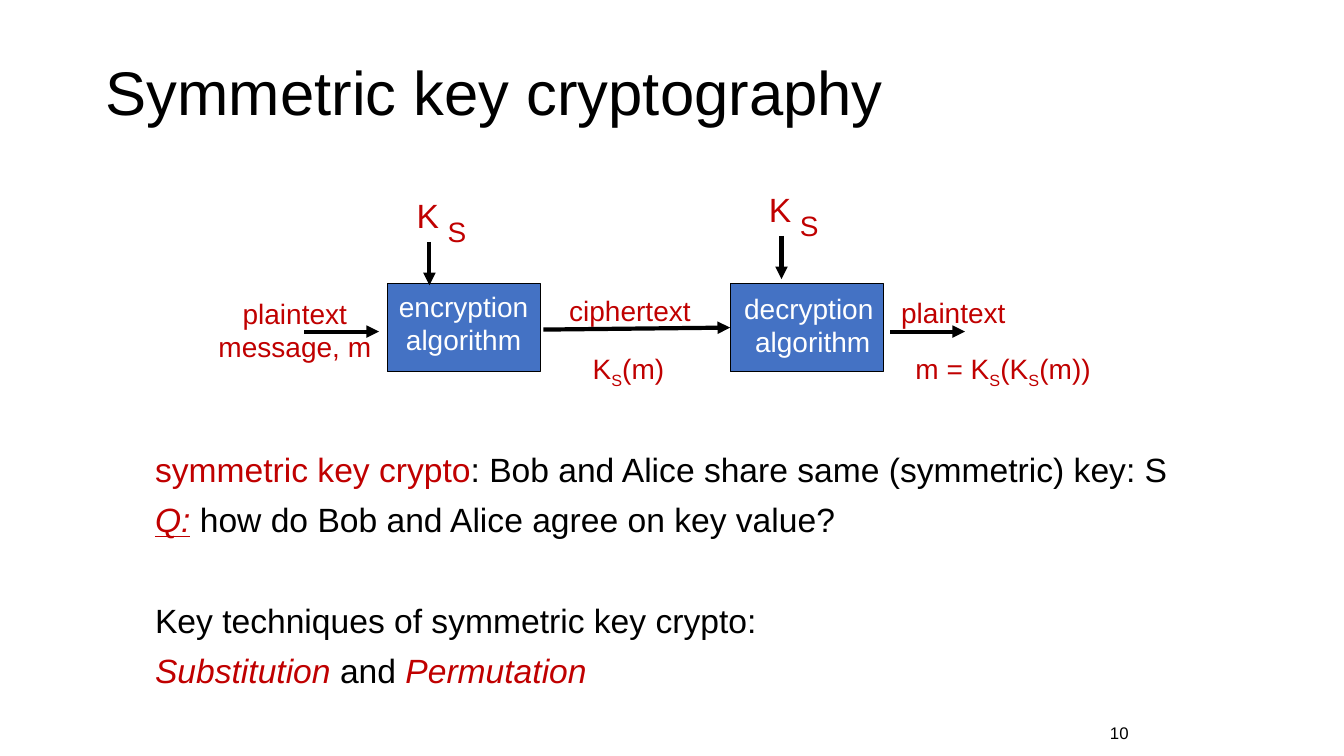
"""Build the slide on symmetric key cryptography."""
import pptx
import pptx.dml.color
import pptx.enum.shapes
import pptx.enum.text
import pptx.oxml.ns
import pptx.util
from lxml import etree

WIDE, HIGH = pptx.util.Inches(13.33), pptx.util.Inches(7.5)
COL, ROW = WIDE / 40, HIGH / 30
RED, BLUE, BLACK, WHITE = "C00000", "4472C4", "000000", "FFFFFF"
MID = pptx.enum.text.PP_ALIGN.CENTER
LEFT = pptx.enum.text.PP_ALIGN.LEFT


def hue(code):
    """Turn a hex string into a colour."""
    return pptx.dml.color.RGBColor.from_string(code)


def paint(obj, code):
    """Give a fill or a line one solid colour."""
    obj.solid()
    obj.fore_color.rgb = hue(code)


def grid(x, y, w, h):
    """Turn columns and rows into lengths."""
    return int(x * COL), int(y * ROW), int(w * COL), int(h * ROW)


def write(para, text, size, code=BLACK, style=""):
    """Add one run; style may hold i, u and s for subscript."""
    run = para.add_run()
    run.text = text
    font = run.font
    font.name, font.size = "Arial", pptx.util.Pt(size)
    font.color.rgb = hue(code)
    if "i" in style:
        font.italic = True
    if "u" in style:
        font.underline = True
    if "s" in style:
        run._r.get_or_add_rPr().set("baseline", "-25000")


def fill(frame, lines, size, code, align):
    """Write lines, each a list of (text, style) pairs, in one colour."""
    for num, line in enumerate(lines):
        para = frame.add_paragraph() if num else frame.paragraphs[0]
        para.alignment = align
        for text, style in line:
            write(para, text, size, code, style)


def label(slide, place, lines, size=20, code=RED, align=MID, back=None):
    """Add an unwrapped label, with a backing colour if one is given."""
    box = slide.shapes.add_textbox(*grid(*place))
    box.text_frame.word_wrap = False
    if back:
        paint(box.fill, back)
    fill(box.text_frame, lines, size, code, align)


def block(slide, place, lines, top, left=0):
    """Add an algorithm block with its caption."""
    kind = pptx.enum.shapes.MSO_SHAPE.RECTANGLE
    box = slide.shapes.add_shape(kind, *grid(*place))
    box.shadow.inherit = False
    paint(box.fill, BLUE)
    paint(box.line.fill, BLACK)
    box.line.width = pptx.util.Pt(0.75)
    frame = box.text_frame
    frame.word_wrap = False
    frame.vertical_anchor = pptx.enum.text.MSO_ANCHOR.TOP
    frame.margin_top = pptx.util.Inches(top)
    frame.margin_left = pptx.util.Inches(left)
    frame.margin_right = 0
    fill(frame, lines, 20, WHITE, MID)
    return box


def arrow(slide, x, y, right, low, goal=None):
    """Draw an arrow, joined to the left side of a goal if given."""
    kind = pptx.enum.shapes.MSO_CONNECTOR.STRAIGHT
    start, end = grid(x, y, 0, 0), grid(right, low, 0, 0)
    link = slide.shapes.add_connector(kind, *start[:2], *end[:2])
    if goal is not None:
        link.end_connect(goal, 1)
    paint(link.line.fill, BLACK)
    link.line.width = pptx.util.Pt(3)
    tag = pptx.oxml.ns.qn
    etree.SubElement(link.line._get_or_add_ln(), tag("a:tailEnd"), type="triangle")
    etree.SubElement(link._element.spPr, tag("a:effectLst"))


def key(slide, x, y):
    """Draw the shared key and the arrow below it."""
    label(slide, (x, y, 1.29, 2.04), [[("K", "")]], 24, back=WHITE)
    label(slide, (x + 0.93, y + 0.8, 1.17, 1.72), [[("S", "")]])
    arrow(slide, x + 0.69, y + 2.08, x + 0.69, y + 3.8)


def head(slide):
    """Place and write the title."""
    title = slide.shapes.title
    title.left, title.top, title.width, title.height = grid(2.85, 1.28, 25.5, 5)
    frame = title.text_frame
    frame.vertical_anchor = pptx.enum.text.MSO_ANCHOR.MIDDLE
    para = frame.paragraphs[0]
    para.alignment, para.line_spacing = LEFT, 0.9
    write(para, "Symmetric key cryptography", 44)


def notes(slide):
    """Write the statements below the diagram."""
    frame = slide.shapes.add_textbox(*grid(4.32, 17.8, 32.17, 10.72)).text_frame
    frame.word_wrap = True
    lines = [
        (0, [("symmetric key crypto", RED, ""),
             (": Bob and Alice share same (symmetric) key: S", BLACK, "")]),
        (10, [("Q:", RED, "iu"), (" ", RED, "i"),
              ("how do Bob and Alice agree on key value?", BLACK, "")]),
        (46, [("Key techniques of symmetric key crypto:", BLACK, "")]),
        (10, [("Substitution ", RED, "i"), ("and ", BLACK, ""),
              ("Permutation", RED, "i")]),
    ]
    for num, (gap, runs) in enumerate(lines):
        para = frame.add_paragraph() if num else frame.paragraphs[0]
        para.line_spacing = 0.9
        para.space_before = pptx.util.Pt(gap)
        for text, code, style in runs:
            write(para, text, 24, code, style)


def main():
    """Build and save the slide."""
    deck = pptx.Presentation()
    deck.slide_width, deck.slide_height = WIDE, HIGH
    slide = deck.slides.add_slide(deck.slide_layouts[5])
    head(slide)
    notes(slide)

    label(slide, (26.5, 11.52, 3.75, 1.76), [[("plaintext", "")]], back=WHITE)
    label(slide, (16.62, 11.44, 4.26, 1.76), [[("ciphertext", "")]], back=WHITE)
    block(slide, (11.52, 11.24, 4.56, 3.52),
          [[("encryption", "")], [("algorithm", "")]], 0.06)
    decrypt = block(slide, (21.73, 11.24, 4.56, 3.52),
                    [[("decryption ", "")], [("algorithm", "")]], 0.08, 0.12)
    key(slide, 12.09, 7.52)
    key(slide, 22.57, 7.28)
    arrow(slide, 16.17, 13.08, 21.73, 13, decrypt)
    for x in (9.06, 26.5):
        arrow(slide, x, 13.16, x + 2.22, 13.16)

    label(slide, (6.18, 11.56, 5.19, 3.08),
          [[("plaintext", "")], [("message, m", "")]])
    label(slide, (17.31, 13.76, 2.79, 1.76),
          [[("K", ""), ("S", "s"), ("(m)", "")]])
    label(slide, (26.95, 13.76, 5.94, 1.76),
          [[("m = K", ""), ("S", "s"), ("(K", ""), ("S", "s"), ("(m))", "")]],
          align=LEFT)
    label(slide, (32.74, 28.48, 2.25, 1.2), [[("10", "")]], 12, BLACK, LEFT)
    deck.save("out.pptx")


if __name__ == "__main__":
    main()
